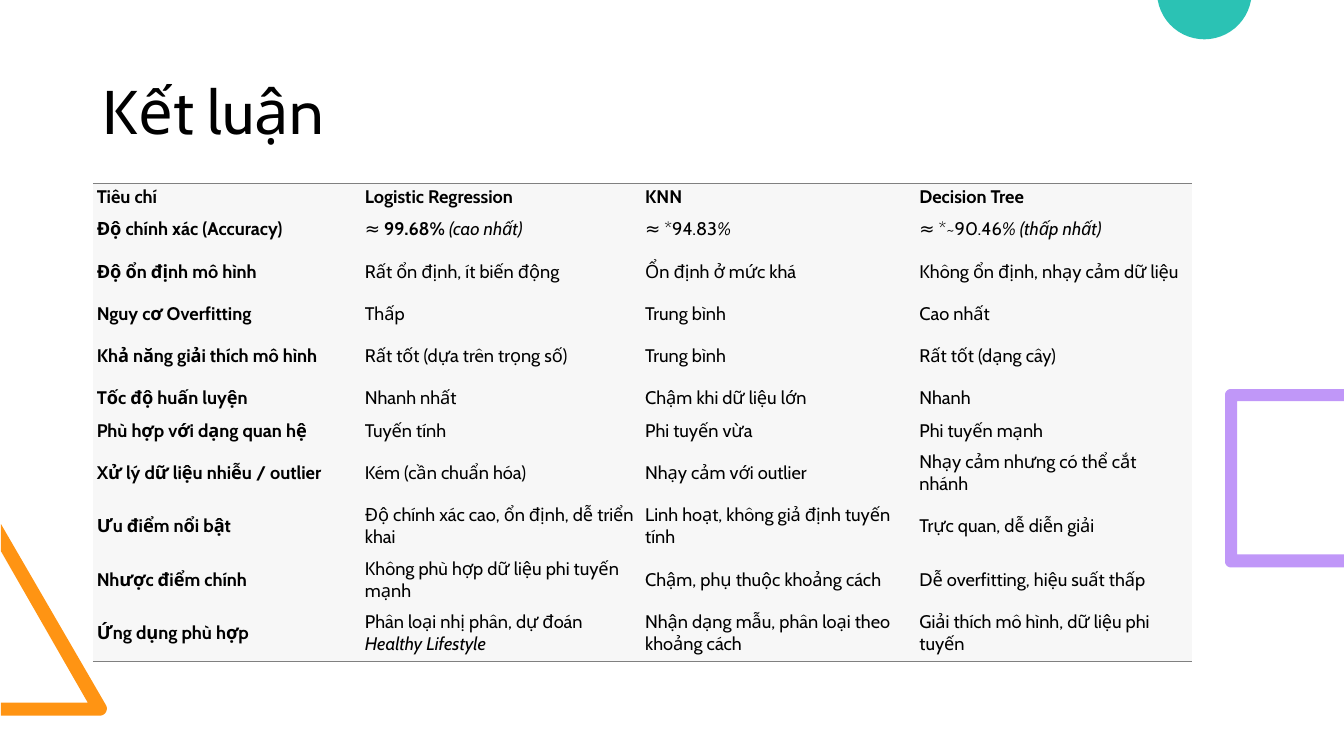
"""Build the conclusion slide comparing three classification models."""
from dataclasses import dataclass
from math import cos, radians, sin

from lxml import etree
from pptx import Presentation, util as u
from pptx.dml.color import RGBColor
from pptx.enum import text
from pptx.oxml import ns

PX = 9144
PLAIN_TABLE = "{2D5ABB26-0587-4C30-8999-92F81FD0307C}"


@dataclass(frozen=True)
class Theme:
    """Colours and type sizes of the slide."""
    font: str = "Cabin"
    title_size: int = 44
    table_size: int = 13
    ink: str = "000000"
    cell: str = "F7F7F7"
    rule: str = "808080"
    orange: str = "FF9413"
    teal: str = "2BC2B4"
    violet: str = "C097F8"


def colour(code):
    """Turn a hex code into a colour."""
    return RGBColor.from_string(code)


def arc(x, y, radius, start, end, steps=24):
    """List points along an arc, with angles in degrees clockwise from the right."""
    angles = [radians(start + (end - start) * i / steps) for i in range(steps + 1)]
    return [(x + radius * cos(a), y + radius * sin(a)) for a in angles]


class SlideBuilder:
    """Draw themed elements on the current slide."""

    def __init__(self, deck, theme):
        """Start a title-only slide."""
        self.theme = theme
        self.page = deck.slides.add_slide(deck.slide_layouts[5])

    def style(self, para, size, bold=None):
        """Apply the theme font to a paragraph."""
        font = para.font
        font.name, font.size, font.bold = self.theme.font, u.Pt(size), bold
        font.color.rgb = colour(self.theme.ink)

    def title(self, words, *bounds):
        """Place and format the title placeholder."""
        box = self.page.shapes.title
        box.left, box.top, box.width, box.height = (n * PX for n in bounds)
        frame = box.text_frame
        frame.text = words
        frame.vertical_anchor = text.MSO_ANCHOR.MIDDLE
        para = frame.paragraphs[0]
        para.alignment, para.line_spacing = text.PP_ALIGN.LEFT, 0.9
        self.style(para, self.theme.title_size)

    def outline(self, points, fill):
        """Draw a closed filled outline."""
        first, *rest = [(x * PX, y * PX) for x, y in points]
        builder = self.page.shapes.build_freeform(*first)
        builder.add_line_segments(rest, close=True)
        shape = builder.convert_to_shape()
        shape.shadow.inherit = False
        shape.fill.solid()
        shape.fill.fore_color.rgb = colour(fill)
        shape.line.fill.background()

    def border(self, cell, side):
        """Rule one side of a cell."""
        line = etree.Element(ns.qn(f"a:{side}"), w=str(u.Pt(1)))
        fill = etree.SubElement(line, ns.qn("a:solidFill"))
        etree.SubElement(fill, ns.qn("a:srgbClr"), val=self.theme.rule)
        cell._tc.get_or_add_tcPr().insert(0, line)

    def fill_cell(self, cell, content, bold):
        """Write plain words or (words, style) spans into a cell."""
        cell.fill.solid()
        cell.fill.fore_color.rgb = colour(self.theme.cell)
        cell.vertical_anchor = text.MSO_ANCHOR.MIDDLE
        cell.margin_left = cell.margin_right = 4 * PX
        cell.margin_top, cell.margin_bottom = 2 * PX, 7 * PX
        para = cell.text_frame.paragraphs[0]
        self.style(para, self.theme.table_size, bold)
        for words, look in [(content, "")] if isinstance(content, str) else content:
            span = para.add_run()
            span.text = words
            if look == "bold":
                span.font.bold = True
            elif look == "italic":
                span.font.italic = True

    def table(self, rows, left, top, widths, heights):
        """Add a table ruled above and below, with bold headings."""
        frame = self.page.shapes.add_table(
            len(rows), len(widths), left * PX, top * PX, sum(widths) * PX, sum(heights) * PX)
        table = frame.table
        table.horz_banding = table.first_row = False
        table._tbl.tblPr.find(ns.qn("a:tableStyleId")).text = PLAIN_TABLE
        for column, width in zip(table.columns, widths):
            column.width = width * PX
        for r, (row, height) in enumerate(zip(rows, heights)):
            table.rows[r].height = height * PX
            for c, content in enumerate(row):
                cell = table.cell(r, c)
                self.fill_cell(cell, content, r == 0 or c == 0)
                if r == 0:
                    self.border(cell, "lnT")
                elif r == len(rows) - 1:
                    self.border(cell, "lnB")


ROWS = [
    ("Tiêu chí", "Logistic Regression", "KNN", "Decision Tree"),
    ("Độ chính xác (Accuracy)",
     [("≈ ", ""), ("99.68% ", "bold"), ("(cao nhất)", "italic")],
     [("≈ *94.83", ""), ("%", "italic")],
     [("≈ *~90.46", ""), ("% (thấp nhất)", "italic")]),
    ("Độ ổn định mô hình", "Rất ổn định, ít biến động", "Ổn định ở mức khá",
     "Không ổn định, nhạy cảm dữ liệu"),
    ("Nguy cơ Overfitting", "Thấp", "Trung bình", "Cao nhất"),
    ("Khả năng giải thích mô hình", "Rất tốt (dựa trên trọng số)", "Trung bình",
     "Rất tốt (dạng cây)"),
    ("Tốc độ huấn luyện", "Nhanh nhất", "Chậm khi dữ liệu lớn", "Nhanh"),
    ("Phù hợp với dạng quan hệ", "Tuyến tính", "Phi tuyến vừa", "Phi tuyến mạnh"),
    ("Xử lý dữ liệu nhiễu / outlier", "Kém (cần chuẩn hóa)", "Nhạy cảm với outlier",
     "Nhạy cảm nhưng có thể cắt nhánh"),
    ("Ưu điểm nổi bật", "Độ chính xác cao, ổn định, dễ triển khai",
     "Linh hoạt, không giả định tuyến tính", "Trực quan, dễ diễn giải"),
    ("Nhược điểm chính", "Không phù hợp dữ liệu phi tuyến mạnh",
     "Chậm, phụ thuộc khoảng cách", "Dễ overfitting, hiệu suất thấp"),
    ("Ứng dụng phù hợp",
     [("Phân loại nhị phân, dự đoán ", ""), ("Healthy Lifestyle", "italic")],
     "Nhận dạng mẫu, phân loại theo khoảng cách",
     "Giải thích mô hình, dữ liệu phi tuyến"),
]
LOW, TALL = 32, 52.5
HEIGHTS = [int(h) for h in (LOW, LOW, TALL, LOW, TALL, LOW, LOW, *[TALL] * 4)]


def main():
    """Build and save the deck."""
    deck = Presentation()
    deck.slide_width, deck.slide_height = u.Inches(13.33), u.Inches(7.5)
    theme = Theme()
    slide = SlideBuilder(deck, theme)
    slide.outline([(1, 710), (1, 697), (87, 697), (1, 547), (1, 520),
                   *arc(99, 703, 7, -30, 90)], theme.orange)
    slide.outline(arc(1194.5, -8, 47, 10, 170), theme.teal)
    slide.outline([(1333, 563), (1333, 550), (1227, 550), (1227, 398), (1333, 398),
                   (1333, 386), *arc(1221, 392, 6, 270, 180), *arc(1221, 557, 6, 180, 90)],
                  theme.violet)
    slide.title("Kết luận", 92, 33, 1150, 161)
    slide.table(ROWS, 92, 182, (266, 278, 272, 274), HEIGHTS)
    deck.save("out.pptx")


if __name__ == "__main__":
    main()
